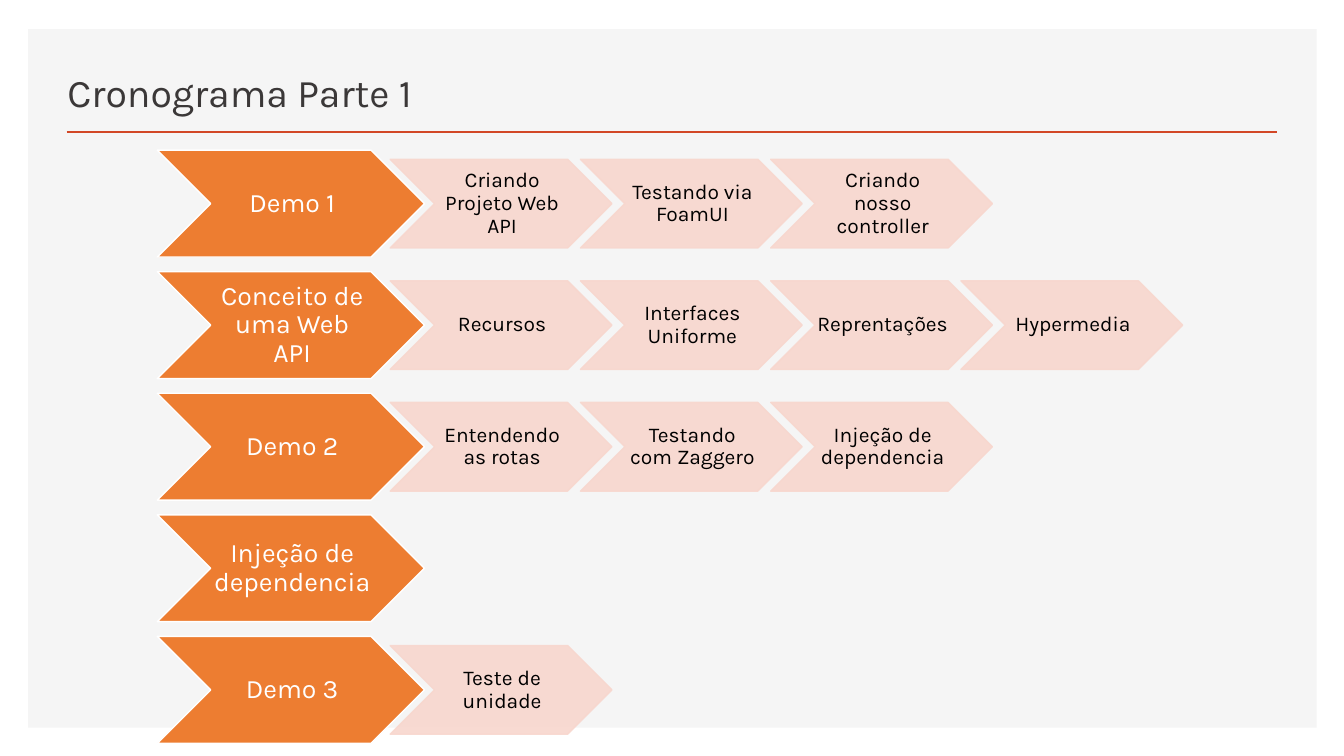
"""Build the course schedule slide: rows of chevrons, one per stage."""
from lxml.etree import SubElement
from pptx import Presentation
from pptx.dml.color import RGBColor
from pptx.enum.shapes import MSO_CONNECTOR, MSO_SHAPE
from pptx.enum.text import MSO_ANCHOR, PP_ALIGN
from pptx.oxml.ns import qn
from pptx.util import Inches, Pt

HUES = {"panel": "F5F5F5", "rule": "D24726", "title": "3B3838",
        "stage": "ED7D31", "step": "F8D7CE", "white": "FFFFFF", "black": "000000"}
ROWS = [
    ("Demo 1", ["Criando Projeto Web API", "Testando via FoamUI", "Criando nosso controller"]),
    ("Conceito de uma Web API", ["Recursos", "Interfaces Uniforme", "Reprentações", "Hypermedia"]),
    ("Demo 2", ["Entendendo as rotas", "Testando com Zaggero", "Injeção de dependencia"]),
    ("Injeção de dependencia", []),
    ("Demo 3", ["Teste de unidade"]),
]
LEFT, TOP, PITCH = 1.56, 1.49, 1.206
WIDE, HIGH = 2.65, 1.06
FIRST, STEP = 3.87, 1.887
SLIM, LOW = 2.2, 0.88


def tint(name):
    return RGBColor.from_string(HUES[name])


def chevron(text, x, y, w, h, fill, edge, ink, size, alpha=None):
    shape = slide.shapes.add_shape(
        MSO_SHAPE.CHEVRON, Inches(x), Inches(y), Inches(w), Inches(h))
    shape.shadow.inherit = False
    shape.fill.solid()
    shape.fill.fore_color.rgb = tint(fill)
    shape.line.color.rgb = tint(edge)
    shape.line.width = Pt(1)
    if alpha:
        for node in shape._element.spPr.iter(qn("a:srgbClr")):
            SubElement(node, qn("a:alpha")).set("val", str(alpha * 1000))
    frame = shape.text_frame
    frame.word_wrap = True
    frame.vertical_anchor = MSO_ANCHOR.MIDDLE
    frame.margin_left, frame.margin_right = Pt(size / 10), 0
    frame.margin_top = frame.margin_bottom = Inches(0.01)
    para = frame.paragraphs[0]
    para.text = text
    para.alignment = PP_ALIGN.CENTER
    para.line_spacing = 0.9
    para.font.name, para.font.size = "Karla", Pt(size)
    para.font.color.rgb = tint(ink)


deck = Presentation()
deck.slide_width, deck.slide_height = Inches(13.33), Inches(7.5)
slide = deck.slides.add_slide(deck.slide_layouts[6])

panel = slide.shapes.add_shape(
    MSO_SHAPE.RECTANGLE, Inches(0.28), Inches(0.29), Inches(12.78), Inches(6.93))
panel.shadow.inherit = False
panel.fill.solid()
panel.fill.fore_color.rgb = tint("panel")
panel.line.fill.background()

rule = slide.shapes.add_connector(
    MSO_CONNECTOR.STRAIGHT, Inches(0.66), Inches(1.31), Inches(12.67), Inches(1.31))
rule.line.color.rgb = tint("rule")
rule.line.width = Pt(2)
SubElement(rule._element.spPr, qn("a:effectLst"))

title = slide.shapes.add_textbox(Inches(0.57), Inches(0.49), Inches(7.52), Inches(0.7))
title.text_frame.word_wrap = True
title.text_frame.vertical_anchor = MSO_ANCHOR.BOTTOM
head = title.text_frame.paragraphs[0]
head.text = "Cronograma Parte 1"
head.font.name, head.font.size = "Karla", Pt(28)
head.font.color.rgb = tint("title")

for row, (stage, steps) in enumerate(ROWS):
    y = TOP + row * PITCH
    chevron(stage, LEFT, y, WIDE, HIGH, "stage", "white", "white", 19)
    for col, step in enumerate(steps):
        chevron(step, FIRST + col * STEP, y + (HIGH - LOW) / 2, SLIM, LOW,
                "step", "step", "black", 15, alpha=90)

deck.save("out.pptx")
